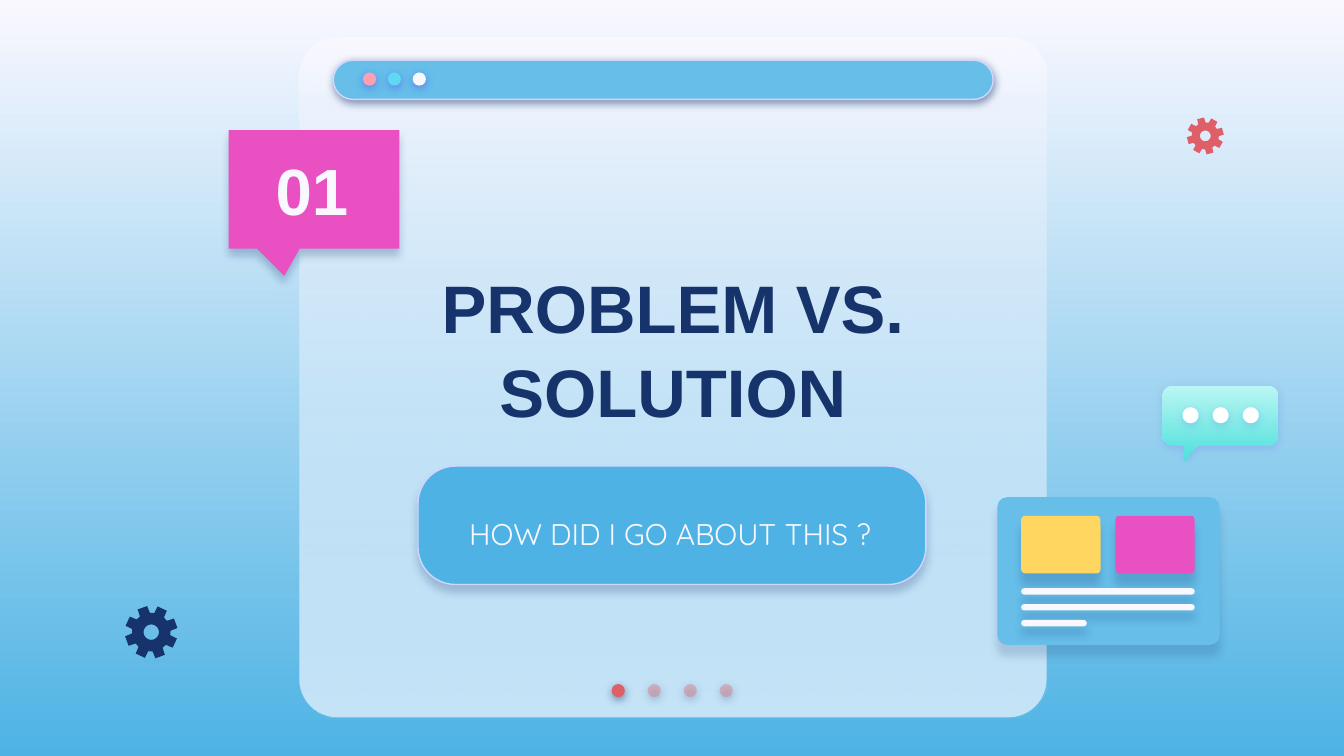
"""Build the section slide with a window panel, its title and small icons."""
from math import cos, radians, sin

from lxml import etree as et
from pptx import Presentation
from pptx import util as u
from pptx.dml.color import RGBColor
from pptx.enum import shapes, text
from pptx.oxml import ns

PALE = RGBColor(0xF9, 0xF8, 0xFF)
WHITE = RGBColor(0xFF, 0xFF, 0xFF)
NAVY = RGBColor(0x17, 0x33, 0x6B)
BLUE = RGBColor(0x4E, 0xB3, 0xE4)
SKY = RGBColor(0x66, 0xBE, 0xE9)
LILAC = RGBColor(0xD2, 0xD6, 0xFF)
RED = RGBColor(0xDF, 0x5F, 0x69)
ROSE = RGBColor(0xE2, 0x7B, 0x83)
PINK = RGBColor(0xFD, 0xA0, 0xB4)
CYAN = RGBColor(0x60, 0xD8, 0xF4)
VIOLET = RGBColor(0x53, 0x52, 0xEE)
MAGENTA = RGBColor(0xE9, 0x51, 0xC2)
YELLOW = RGBColor(0xFF, 0xD6, 0x5F)
MINT = RGBColor(0xBB, 0xF6, 0xF4)
TEAL = RGBColor(0x4E, 0xE0, 0xDB)

Kind = shapes.MSO_SHAPE
ROUND, OVAL = Kind.ROUNDED_RECTANGLE, Kind.OVAL


def paint(item, tones, shade=None, alpha=None, edge=None):
    """Fill an item with one or two tones, then set its shadow and edge."""
    fill = item.fill
    if len(tones) == 2:
        fill.gradient()
        fill.gradient_angle = 270
        for stop, tone in zip(fill.gradient_stops, tones):
            stop.color.rgb = tone
    else:
        fill.solid()
        fill.fore_color.rgb = tones[0]
    if not hasattr(item, "shadow"):
        return
    prop = item._element.spPr
    if alpha:
        last = list(prop.iter(ns.qn("a:srgbClr")))[-1]
        et.SubElement(last, ns.qn("a:alpha"), val=str(alpha * 1000))
    if edge:
        item.line.color.rgb = edge
        item.line.width = u.Pt(0.75)
    else:
        item.line.fill.background()
    item.shadow.inherit = False
    if shade:
        tone, dense, dist = shade
        glow = et.SubElement(prop.find(ns.qn("a:effectLst")), ns.qn("a:outerShdw"),
                             blurRad=str(u.Pt(4.5)), dist=str(u.Pt(dist)),
                             dir="5400000", algn="bl", rotWithShape="0")
        hue = et.SubElement(glow, ns.qn("a:srgbClr"), val=str(tone))
        et.SubElement(hue, ns.qn("a:alpha"), val=str(dense * 1000))


def arc(x, y, r, start=0, end=360, step=10):
    """List the points of an arc, clockwise in degrees."""
    return [(x + r * cos(radians(a)), y + r * sin(radians(a)))
            for a in range(start, end + 1, step)]


deck = Presentation()
deck.slide_width, deck.slide_height = u.Cm(25.4), u.Cm(14.29)
slide = deck.slides.add_slide(deck.slide_layouts[6])
paint(slide.background, [PALE, BLUE])

deep = (NAVY, 50, 1.5)
glint = (VIOLET, 50, 1.5)
soft = (NAVY, 24, 3.8)
tile = (NAVY, 20, 6)
rule = (NAVY, 21, 4.5)
panel = (5.66, 0.71, 14.12, 12.85)

parts = [
    (ROUND, panel, [0.056], [PALE], None, None, None),
    (ROUND, panel, [0.056], [PALE, SKY], None, 35, None),
]
for i in range(4):
    tone, alpha = (ROSE, 44) if i else (RED, None)
    parts.append((OVAL, (11.56 + 0.68 * i, 12.93, 0.25, 0.25), [], [tone], deep, alpha, None))
parts.append((ROUND, (6.3, 1.14, 12.47, 0.74), [0.5], [SKY], deep, None, LILAC))
for i, tone in enumerate([PINK, CYAN, PALE]):
    parts.append((OVAL, (6.86 + 0.47 * i, 1.37, 0.25, 0.25), [], [tone], glint, None, None))
parts += [
    (Kind.ROUNDED_RECTANGULAR_CALLOUT, (4.32, 2.46, 3.23, 2.24), [-0.174, 0.731, 0],
     [MAGENTA], (NAVY, 25, 3.8), None, None),
    (ROUND, (7.9, 8.81, 9.6, 2.24), [0.317], [BLUE], soft, None, LILAC),
    (ROUND, (18.85, 9.4, 4.2, 2.79), [0.065], [SKY], (NAVY, 17, 6), None, None),
]
for x, tone in [(19.3, YELLOW), (21.08, MAGENTA)]:
    parts.append((ROUND, (x, 9.75, 1.5, 1.09), [0.07], [tone], tile, None, None))
for i, w in enumerate([3.28, 3.28, 1.24]):
    parts.append((ROUND, (19.3, 11.12 + 0.3 * i, w, 0.12), [0.5], [PALE], rule, None, None))

for kind, box, adj, tones, shade, alpha, edge in parts:
    item = slide.shapes.add_shape(kind, *map(u.Cm, box))
    for i, val in enumerate(adj):
        item.adjustments[i] = val
    paint(item, tones, shade, alpha, edge)

left, top, right, low, r = 21.97, 7.29, 24.16, 8.43, 0.2
chat = (arc(right - r, top + r, r, 270, 360) + arc(right - r, low - r, r, 0, 90)
        + [(22.63, low), (22.38, 8.71), (22.38, low)]
        + arc(left + r, low - r, r, 90, 180) + arc(left + r, top + r, r, 180, 270))
dots = [arc(22.5 + 0.57 * i, 7.85, 0.15) for i in range(3)]
haze = (VIOLET, 18, 1.5)
forms = [([chat], [MINT, TEAL], haze), (dots, [WHITE], haze)]
for x, y, r, turn, tone in [(2.86, 11.95, 0.5, 25, NAVY), (22.78, 2.57, 0.35, 30, RED)]:
    teeth = []
    for mid in range(turn, turn + 360, 45):
        teeth += arc(x, y, r * 0.73, mid - 16, mid - 16)
        teeth += arc(x, y, r, mid - 11, mid + 11, 22)
        teeth += arc(x, y, r * 0.73, mid + 16, mid + 16)
    forms.append(([arc(x, y, r * 0.29), teeth], [tone], None))

for loops, tones, shade in forms:
    pen = None
    for loop in loops:
        first, *rest = [(u.Cm(x), u.Cm(y)) for x, y in loop]
        if pen:
            pen.move_to(*first)
        else:
            pen = slide.shapes.build_freeform(*first)
        pen.add_line_segments(rest, close=True)
    paint(pen.convert_to_shape(), tones, shade)

MID, LOW = text.MSO_ANCHOR.MIDDLE, text.MSO_ANCHOR.BOTTOM
words = [
    ("PROBLEM VS. SOLUTION", (6.88, 4.24, 11.68, 4.62), MID, "Arial", 36, NAVY, True, 1.05, 0),
    ("HOW DID I GO ABOUT THIS ?", (8.18, 9.25, 8.97, 1.68), MID, "Quicksand", 16, PALE, False, 1, 12),
    ("01", (4.55, 2.59, 2.69, 1.98), LOW, "Arial", 35, PALE, True, 1, 0),
]
for word, box, hold, face, size, tone, bold, lead, gap in words:
    frame = slide.shapes.add_textbox(*map(u.Cm, box)).text_frame
    frame.word_wrap = True
    frame.vertical_anchor = hold
    frame.margin_left = frame.margin_right = u.Cm(0.25)
    frame.margin_top = frame.margin_bottom = u.Cm(0.25)
    para = frame.paragraphs[0]
    para.alignment = text.PP_ALIGN.CENTER
    para.line_spacing = lead
    para.space_after = u.Pt(gap)
    run = para.add_run()
    run.text = word
    run.font.name, run.font.size, run.font.bold = face, u.Pt(size), bold
    run.font.color.rgb = tone

deck.save("out.pptx")
